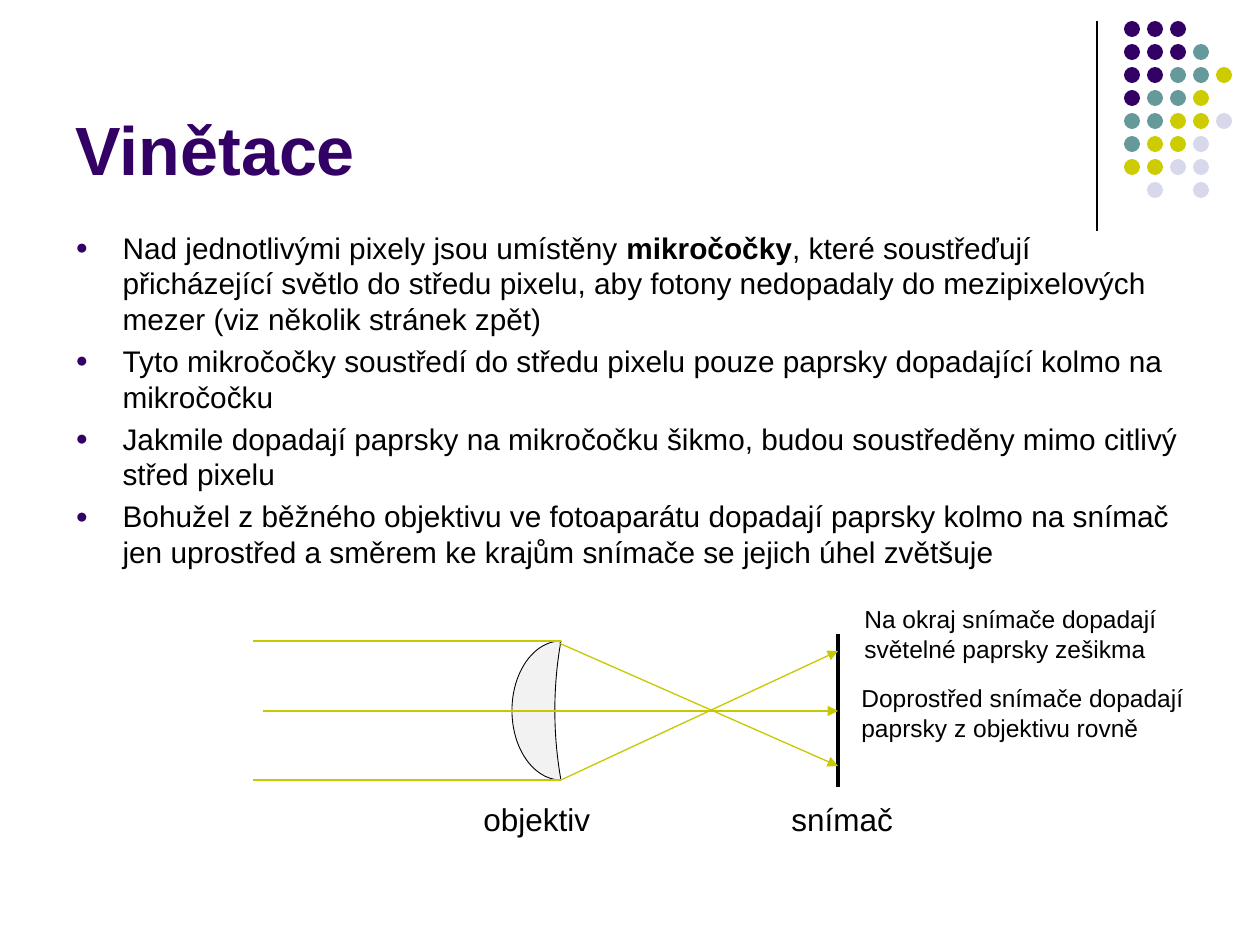
"""Build the slide on vignetting with its ray diagram."""
import pptx
import pptx.util
import pptx.dml.color
import pptx.enum.shapes
import pptx.enum.text
import pptx.oxml
import pptx.oxml.ns

PX = 914400 / 126
COLORS = {"P": "330066", "T": "669999", "Y": "CCCC00", "L": "D8D8EC",
          "text": "000000", "ray": "C8C800", "lens": "F2F2F2"}
DOTS = ["PPP", "PPPT", "PPTTY", "PTTY", "TTYYL", "TYYL", "YYLL", " L L"]
BULLETS = [
    [("Nad jednotlivými pixely jsou umístěny ", False), ("mikročočky", True),
     (", které soustřeďují přicházející světlo do středu pixelu, aby fotony "
      "nedopadaly do mezipixelových mezer (viz několik stránek zpět)", False)],
    [("Tyto mikročočky soustředí do středu pixelu pouze paprsky dopadající "
      "kolmo na mikročočku", False)],
    [("Jakmile dopadají paprsky na mikročočku šikmo, budou soustředěny mimo "
      "citlivý střed pixelu", False)],
    [("Bohužel z běžného objektivu ve fotoaparátu dopadají paprsky kolmo na "
      "snímač jen uprostřed a směrem ke krajům snímače se jejich úhel "
      "zvětšuje", False)],
]
LABELS = [
    ("objektiv", (471, 794, 159, 50), 18),
    ("snímač", (779, 794, 159, 50), 18),
    ("Na okraj snímače dopadají světelné paprsky zešikma",
     (852, 598, 328, 72), 14),
    ("Doprostřed snímače dopadají paprsky z objektivu rovně",
     (849, 677, 367, 72), 14),
]
TOP, AXIS, BOTTOM = 641, 711, 780
LENS, SENSOR = 561, 838
RAYS = [
    ((263, AXIS, SENSOR, AXIS), True),
    ((253, BOTTOM, LENS, BOTTOM), False),
    ((LENS, BOTTOM, SENSOR, 651), True),
    ((253, TOP, LENS, TOP), False),
    ((559, 643, SENSOR, 766), True),
]


def px(*values):
    """Convert pixels to EMU."""
    return [pptx.util.Emu(round(v * PX)) for v in values]


def rgb(name):
    """Look up a named colour."""
    return pptx.dml.color.RGBColor.from_string(COLORS[name])


def apply(obj, **values):
    """Set each given attribute on an object."""
    for name, value in values.items():
        setattr(obj, name, value)


class Deck:
    """Hold the style and the current slide."""

    font = "Arial"

    def __init__(self, prs):
        """Add a title and content slide."""
        self.s = prs.slides.add_slide(prs.slide_layouts[1])

    def run(self, p, text, size, color="text", bold=False):
        """Add a formatted run to a paragraph."""
        r = p.add_run()
        r.text = text
        apply(r.font, name=self.font, size=pptx.util.Pt(size), bold=bold)
        r.font.color.rgb = rgb(color)

    def place(self, sp, box):
        """Move a placeholder and return its text frame."""
        apply(sp, **dict(zip(("left", "top", "width", "height"), px(*box))))
        apply(sp.text_frame, word_wrap=True,
              auto_size=pptx.enum.text.MSO_AUTO_SIZE.NONE)
        return sp.text_frame

    def title(self, text, box):
        """Fill the title placeholder."""
        tf = self.place(self.s.shapes.title, box)
        tf.vertical_anchor = pptx.enum.text.MSO_ANCHOR.BOTTOM
        p = tf.paragraphs[0]
        p.alignment = pptx.enum.text.PP_ALIGN.LEFT
        self.run(p, text, 39, "P", True)

    def bullets(self, items, box):
        """Fill the body placeholder with a bulleted list."""
        tf = self.place(self.s.placeholders[1], box)
        indent = px(47)[0]
        marks = (f'<a:buClr {{}}><a:srgbClr val="{COLORS["P"]}"/></a:buClr>',
                 '<a:buSzPct {} val="70000"/>',
                 f'<a:buFont {{}} typeface="{self.font}"/>',
                 '<a:buChar {} char="●"/>')
        for i, parts in enumerate(items):
            p = tf.add_paragraph() if i else tf.paragraphs[0]
            pPr = p._p.get_or_add_pPr()
            pPr.set("marL", str(indent))
            pPr.set("indent", str(-indent))
            for mark in marks:
                pPr.append(pptx.oxml.parse_xml(
                    mark.format(pptx.oxml.ns.nsdecls("a"))))
            p.space_before = pptx.util.Pt(3.6 if i else 0)
            for text, bold in parts:
                self.run(p, text, 17, bold=bold)

    def label(self, text, box, size):
        """Add a text box."""
        tf = self.s.shapes.add_textbox(*px(*box)).text_frame
        apply(tf, word_wrap=True,
              auto_size=pptx.enum.text.MSO_AUTO_SIZE.SHAPE_TO_FIT_TEXT)
        self.run(tf.paragraphs[0], text, size)

    def shape(self, kind, box, fill, line=None):
        """Add a filled preset shape, outlined when a line colour is given."""
        sp = self.s.shapes.add_shape(kind, *px(*box))
        sp.shadow.inherit = False
        sp.fill.solid()
        sp.fill.fore_color.rgb = rgb(fill)
        if line:
            sp.line.color.rgb = rgb(line)
            sp.line.width = pptx.util.Pt(0.5)
        else:
            sp.line.fill.background()
        return sp

    def line(self, ends, color="text", width=0.75, arrow=False):
        """Add a straight line, with an arrowhead at its end if wanted."""
        sp = self.s.shapes.add_connector(
            pptx.enum.shapes.MSO_CONNECTOR.STRAIGHT, *px(*ends))
        sp.line.color.rgb = rgb(color)
        sp.line.width = pptx.util.Pt(width)
        ns = pptx.oxml.ns.nsdecls("a")
        if arrow:
            sp.line._get_or_add_ln().append(
                pptx.oxml.parse_xml(f'<a:tailEnd {ns} type="triangle"/>'))
        sp._element.spPr.append(pptx.oxml.parse_xml(f"<a:effectLst {ns}/>"))


def main():
    """Build and save the slide."""
    prs = pptx.Presentation()
    prs.slide_width, prs.slide_height = px(1260, 945)
    deck = Deck(prs)
    shapes = pptx.enum.shapes.MSO_SHAPE
    deck.line((1097, 21, 1097, 231))
    for row, codes in enumerate(DOTS):
        for col, code in enumerate(codes):
            if code != " ":
                deck.shape(shapes.OVAL,
                           (1124 + 23 * col, 21 + 23 * row, 16, 16), code)
    deck.title("Vinětace", (63, 16, 1040, 179))
    deck.bullets(BULLETS, (63, 223, 1134, 607))
    lens = deck.shape(shapes.MOON, (512, TOP, 49, BOTTOM - TOP), "lens", "text")
    lens.adjustments[0] = 0.875
    deck.line((SENSOR, 634, SENSOR, 787), width=2.75)
    for ends, arrow in RAYS:
        deck.line(ends, "ray", arrow=arrow)
    for text, box, size in LABELS:
        deck.label(text, box, size)
    prs.save("out.pptx")


if __name__ == "__main__":
    main()
